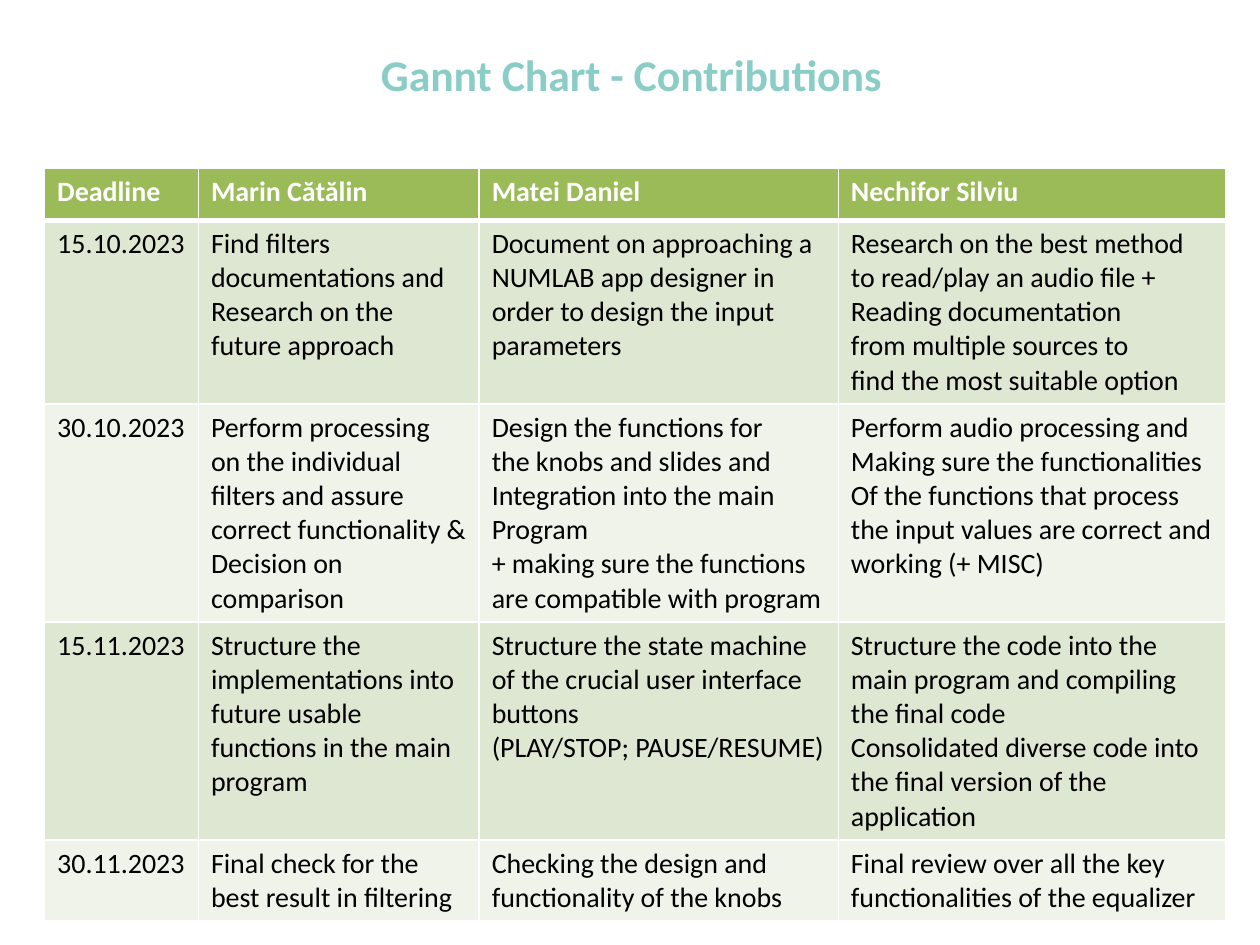
from lxml import etree
from pptx import Presentation
from pptx import util as u
from pptx.dml.color import RGBColor
from pptx.enum import text
from pptx.oxml import ns

COLORS = {
    "title": "8ACCC6",
    "header": "9BBB59",
    "odd": "DEE7D1",
    "even": "EFF3EA",
    "light": "FFFFFF",
    "dark": "000000",
}
FONT = "Calibri"
COLUMN_WIDTHS = [3.1, 5.66, 7.24, 7.8]
ROW_HEIGHT = 1.04

ROWS = [
    ["Deadline", "Marin Cătălin", "Matei Daniel", "Nechifor Silviu"],
    [
        "15.10.2023",
        "Find filters\ndocumentations and\nResearch on the\nfuture approach",
        "Document on approaching a NUMLAB app designer in\n"
        "order to design the input\nparameters",
        "Research on the best method to read/play an audio file +\n"
        "Reading documentation\nfrom multiple sources to\n"
        "find the most suitable option",
    ],
    [
        "30.10.2023",
        "Perform processing\non the individual\nfilters and assure\n"
        "correct functionality &\nDecision on\ncomparison",
        "Design the functions for\nthe knobs and slides and\n"
        "Integration into the main\nProgram\n"
        "+ making sure the functions\nare compatible with program",
        "Perform audio processing and\nMaking sure the functionalities\n"
        "Of the functions that process\n"
        "the input values are correct and\nworking (+ MISC)",
    ],
    [
        "15.11.2023",
        "Structure the\nimplementations into\nfuture usable\n"
        "functions in the main program",
        "Structure the state machine\nof the crucial user interface\n"
        "buttons\n(PLAY/STOP; PAUSE/RESUME)",
        "Structure the code into the\nmain program and compiling\n"
        "the final code\nConsolidated diverse code into\n"
        "the final version of the\napplication",
    ],
    [
        "30.11.2023",
        "Final check for the\nbest result in filtering",
        "Checking the design and functionality of the knobs",
        "Final review over all the key\nfunctionalities of the equalizer",
    ],
]


def write(frame, content, size=16, color="dark", bold=False,
          align=text.PP_ALIGN.LEFT):
    frame.text = content
    for para in frame.paragraphs:
        para.alignment = align
        for span in para.runs:
            span.font.name = FONT
            span.font.size = u.Pt(size)
            span.font.bold = bold
            span.font.color.rgb = RGBColor.from_string(COLORS[color])


def set_borders(cell, top=1, bottom=1):
    properties = cell._tc.get_or_add_tcPr()
    widths = {"a:lnL": 1, "a:lnR": 1, "a:lnT": top, "a:lnB": bottom}
    for tag, width in widths.items():
        line = etree.SubElement(properties, ns.qn(tag), w=str(u.Pt(width)))
        fill = etree.SubElement(line, ns.qn("a:solidFill"))
        etree.SubElement(fill, ns.qn("a:srgbClr"), val=COLORS["light"])


def add_title(page, left, top, width, height):
    box = page.shapes.title
    box.left, box.top = u.Cm(left), u.Cm(top)
    box.width, box.height = u.Cm(width), u.Cm(height)
    box.text_frame.vertical_anchor = text.MSO_ANCHOR.MIDDLE
    write(box.text_frame, "Gannt Chart - Contributions", size=25,
          color="title", bold=True, align=text.PP_ALIGN.CENTER)


def add_schedule(page, left, top):
    table = page.shapes.add_table(
        len(ROWS), len(COLUMN_WIDTHS), u.Cm(left), u.Cm(top),
        u.Cm(sum(COLUMN_WIDTHS)), u.Cm(ROW_HEIGHT * len(ROWS))).table
    for column, width in zip(table.columns, COLUMN_WIDTHS):
        column.width = u.Cm(width)
    for index, contents in enumerate(ROWS):
        is_header = index == 0
        fill = "header" if is_header else "odd" if index % 2 else "even"
        for cell, content in zip(table.rows[index].cells, contents):
            set_borders(cell, top=3 if index == 1 else 1,
                        bottom=3 if is_header else 1)
            cell.fill.solid()
            cell.fill.fore_color.rgb = RGBColor.from_string(COLORS[fill])
            write(cell.text_frame, content, bold=is_header,
                  color="light" if is_header else "dark")


def main():
    deck = Presentation()
    deck.slide_width, deck.slide_height = u.Cm(25.4), u.Cm(19.05)
    page = deck.slides.add_slide(deck.slide_layouts[5])
    add_title(page, 1.37, 0.38, 22.71, 2.21)
    add_schedule(page, 0.9, 3.4)
    deck.save("out.pptx")


if __name__ == "__main__":
    main()
